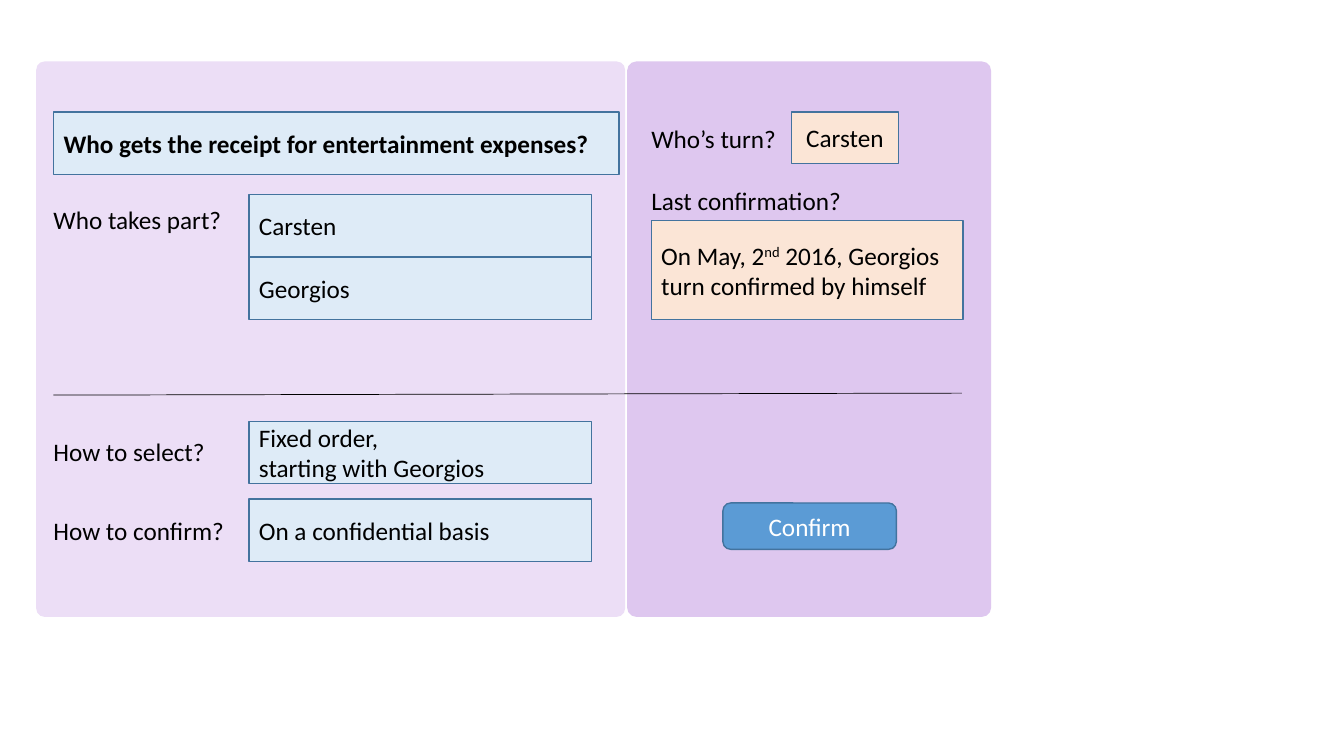
from dataclasses import dataclass

from lxml import etree
from pptx import Presentation
from pptx.dml.color import RGBColor
from pptx.enum.shapes import MSO_CONNECTOR, MSO_SHAPE
from pptx.enum.text import MSO_ANCHOR, MSO_AUTO_SIZE, PP_ALIGN
from pptx.oxml.ns import qn
from pptx.shapes.autoshape import Shape
from pptx.slide import Slide
from pptx.util import Inches, Length, Pt

RECTANGLE = MSO_SHAPE.RECTANGLE
ROUNDED = MSO_SHAPE.ROUNDED_RECTANGLE
STRAIGHT = MSO_CONNECTOR.STRAIGHT
MIDDLE = MSO_ANCHOR.MIDDLE
LEFT, CENTER = PP_ALIGN.LEFT, PP_ALIGN.CENTER
NO_FIT, GROW = MSO_AUTO_SIZE.NONE, MSO_AUTO_SIZE.SHAPE_TO_FIT_TEXT

CELL = 0.1
LABEL_HEIGHT = 3.0
FIELD_HEIGHT = 6.2
FORM_LEFT, FIELD_LEFT, FIELD_WIDTH = 5.3, 24.7, 34.0
STATUS_LEFT = 64.6
TOP_ROW, PEOPLE_ROW, SELECT_ROW, CONFIRM_ROW = 11.1, 19.3, 41.8, 49.5
PANEL_TOP, PANEL_HEIGHT = 6.1, 55.1


@dataclass(frozen=True)
class Theme:
    font: str = "Calibri"
    size: float = 18
    border_width: float = 1
    divider_width: float = 0.5
    text: str = "000000"
    button_text: str = "FFFFFF"
    border: str = "43739E"
    button: str = "5B9BD5"
    form_panel: str = "ECDEF6"
    status_panel: str = "DEC7EF"
    input_field: str = "DEEBF7"
    status_field: str = "FBE5D6"


THEME = Theme()


@dataclass(frozen=True)
class Area:
    column: float
    row: float
    columns: float
    rows: float

    def lengths(self) -> tuple[Length, ...]:
        return tuple(grid(value) for value in (self.column, self.row, self.columns, self.rows))


@dataclass(frozen=True)
class Panel:
    area: Area
    fill: str
    corner: float


@dataclass(frozen=True)
class Label:
    text: str
    column: float
    row: float
    columns: float


@dataclass(frozen=True)
class Field:
    area: Area
    text: str
    fill: str = THEME.input_field
    color: str = THEME.text
    alignment: PP_ALIGN = LEFT
    outline: MSO_SHAPE = RECTANGLE
    superscript: str = ""
    remainder: str = ""


def input_area(row: float) -> Area:
    return Area(FIELD_LEFT, row, FIELD_WIDTH, FIELD_HEIGHT)


PANELS = (
    Panel(Area(3.6, PANEL_TOP, 58.4, PANEL_HEIGHT), THEME.form_panel, 0.015),
    Panel(Area(62.2, PANEL_TOP, 36.1, PANEL_HEIGHT), THEME.status_panel, 0.025),
)
LABELS = (
    Label("Who’s turn?", STATUS_LEFT, 12.2, 12.5),
    Label("Last confirmation?", STATUS_LEFT, 18.4, 19.0),
    Label("Who takes part?", FORM_LEFT, 20.3, 16.8),
    Label("How to select?", FORM_LEFT, 43.3, 15.2),
    Label("How to confirm?", FORM_LEFT, 51.1, 17.1),
)
FIELDS = (
    Field(Area(71.7, 49.9, 17.2, 4.6), "Confirm", THEME.button, THEME.button_text, CENTER, ROUNDED),
    Field(Area(78.5, TOP_ROW, 10.6, 5.1), "Carsten", THEME.status_field, alignment=CENTER),
    Field(Area(STATUS_LEFT, 21.9, 30.9, 9.8), "On May, 2", THEME.status_field,
          superscript="nd", remainder=" 2016, Georgios turn confirmed by himself"),
    Field(input_area(PEOPLE_ROW), "Carsten"),
    Field(input_area(PEOPLE_ROW + FIELD_HEIGHT), "Georgios"),
    Field(input_area(SELECT_ROW), "Fixed order,\nstarting with Georgios"),
    Field(input_area(CONFIRM_ROW), "On a confidential basis"),
)
HEADING = Field(Area(FORM_LEFT, TOP_ROW, 56.1, FIELD_HEIGHT),
                "Who gets the receipt for entertainment expenses?")


def grid(cells: float) -> Length:
    return Inches(cells * CELL)


def paint(shape: Shape, fill: str) -> None:
    shape.fill.solid()
    shape.fill.fore_color.rgb = RGBColor.from_string(fill)


def write(shape: Shape, text: str, color: str, alignment: PP_ALIGN, bold: bool = False) -> None:
    paragraph = shape.text_frame.paragraphs[0]
    paragraph.text = text
    paragraph.alignment = alignment
    paragraph.line_spacing = 1.0
    paragraph.font.name = THEME.font
    paragraph.font.size = Pt(THEME.size)
    paragraph.font.bold = bold
    paragraph.font.color.rgb = RGBColor.from_string(color)


def format_field(shape: Shape, field: Field, bold: bool = False) -> None:
    paint(shape, field.fill)
    shape.line.color.rgb = RGBColor.from_string(THEME.border)
    shape.line.width = Pt(THEME.border_width)
    frame = shape.text_frame
    frame.word_wrap = True
    frame.auto_size = NO_FIT
    frame.vertical_anchor = MIDDLE
    write(shape, field.text, field.color, field.alignment, bold)
    if field.superscript:
        raised = frame.paragraphs[0].add_run()
        raised.text = field.superscript
        raised._r.get_or_add_rPr().set("baseline", "30000")
        frame.paragraphs[0].add_run().text = field.remainder


def add_panel(slide: Slide, panel: Panel) -> None:
    shape = slide.shapes.add_shape(ROUNDED, *panel.area.lengths())
    shape.adjustments[0] = panel.corner
    shape.shadow.inherit = False
    paint(shape, panel.fill)
    shape.line.fill.background()


def add_field(slide: Slide, field: Field) -> None:
    shape = slide.shapes.add_shape(field.outline, *field.area.lengths())
    shape.shadow.inherit = False
    format_field(shape, field)


def add_label(slide: Slide, label: Label) -> None:
    area = Area(label.column, label.row, label.columns, LABEL_HEIGHT)
    shape = slide.shapes.add_textbox(*area.lengths())
    frame = shape.text_frame
    frame.margin_left = frame.margin_right = frame.margin_top = frame.margin_bottom = 0
    frame.word_wrap = False
    frame.auto_size = GROW
    write(shape, label.text, THEME.text, LEFT)


def place_heading(slide: Slide) -> None:
    title = slide.shapes.title
    title.left, title.top, title.width, title.height = HEADING.area.lengths()
    format_field(title, HEADING, bold=True)
    title.element.getparent().append(title.element)


def add_divider(slide: Slide) -> None:
    divider = slide.shapes.add_connector(
        STRAIGHT, grid(FORM_LEFT), grid(39.2), grid(95.4), grid(39.0))
    divider.line.color.rgb = RGBColor.from_string(THEME.text)
    divider.line.width = Pt(THEME.divider_width)
    etree.SubElement(divider.element.spPr, qn("a:effectLst"))


def main() -> None:
    presentation = Presentation()
    presentation.slide_width, presentation.slide_height = Inches(13.33), Inches(7.5)
    slide = presentation.slides.add_slide(presentation.slide_layouts[5])
    for panel in PANELS:
        add_panel(slide, panel)
    for field in FIELDS:
        add_field(slide, field)
    for label in LABELS:
        add_label(slide, label)
    place_heading(slide)
    add_divider(slide)
    presentation.save("out.pptx")


if __name__ == "__main__":
    main()
